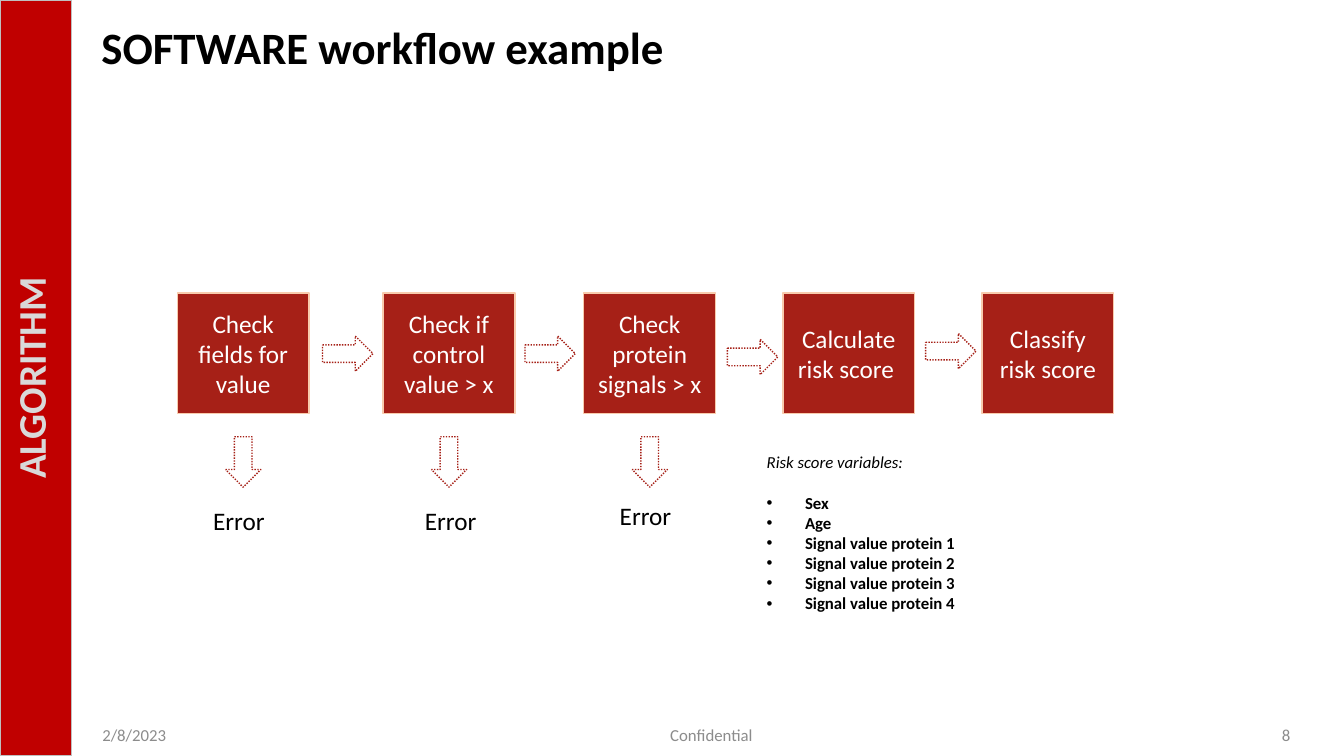
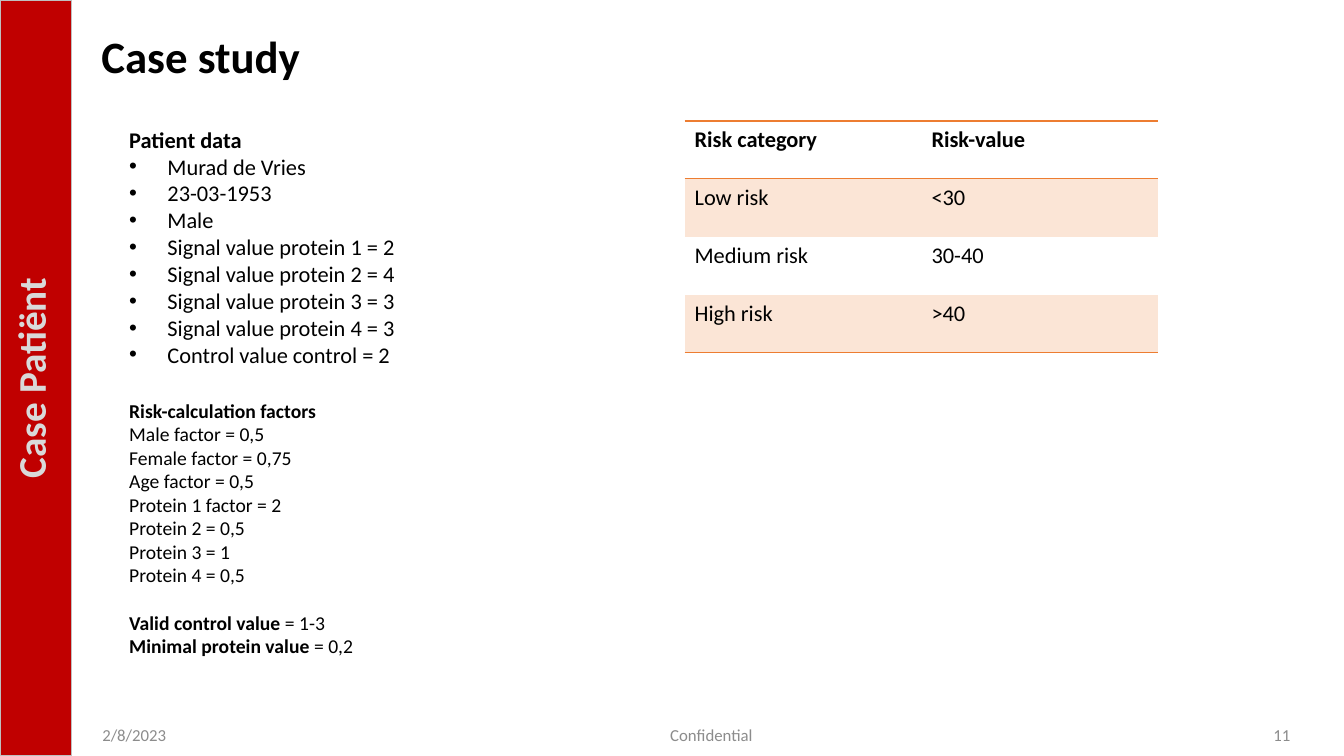
from dataclasses import dataclass

from pptx import Presentation
from pptx.dml.color import RGBColor
from pptx.enum.dml import MSO_LINE
from pptx.enum.shapes import MSO_SHAPE as Preset
from pptx.enum.text import MSO_ANCHOR as Anchor, PP_ALIGN as Align
from pptx.oxml import parse_xml
from pptx.oxml.ns import nsdecls
from pptx.util import Inches, Pt

COLUMNS, ROWS, CELLS_PER_INCH = 160, 90, 12
NO_STYLE = "{2D5ABB26-0587-4C30-8999-92F81FD0307C}"


@dataclass(frozen=True)
class Theme:
    font: str = "Calibri"
    ink: str = "000000"
    white: str = "FFFFFF"
    band: str = "C00000"
    band_edge: str = "BFBFBF"
    band_text: str = "D9D9D9"
    footer: str = "8C8C8C"
    step: str = "A62017"
    step_edge: str = "F8CBAD"
    rule: str = "ED7D31"
    stripe: str = "FBE5D6"
    title_size: int = 32
    band_size: int = 28
    step_size: int = 18
    body_size: int = 16
    detail_size: int = 14
    small_size: int = 12


THEME = Theme()


def grid(cells):
    return Inches(cells / CELLS_PER_INCH)


@dataclass(frozen=True)
class Box:
    left: float
    top: float
    width: float
    height: float

    def region(self, left, top, width, height):
        return Box(self.left + left, self.top + top, width, height)

    @property
    def lengths(self):
        return [grid(n) for n in (self.left, self.top, self.width, self.height)]


PAGE = Box(0, 0, COLUMNS, ROWS)


def add_bullet(paragraph):
    properties = paragraph._p.get_or_add_pPr()
    hang = Inches(0.38)
    properties.set("marL", str(hang))
    properties.set("indent", str(-hang))
    for tag in ('buFont {} typeface="Arial"', 'buChar {} char="•"'):
        properties.append(parse_xml("<a:" + tag.format(nsdecls("a")) + "/>"))


def write(frame, *lines, size=THEME.body_size, color=THEME.ink, bold=False,
          italic=False, align=Align.LEFT, bullet=False, before=0, spacing=None):
    for index, line in enumerate(lines):
        paragraph = frame.paragraphs[-1]
        if paragraph.runs:
            paragraph = frame.add_paragraph()
        if bullet:
            add_bullet(paragraph)
        paragraph.alignment = align
        if before and index == 0:
            paragraph.space_before = Pt(before)
        if spacing:
            paragraph.line_spacing = spacing
        for words, heavy in [(line, bold)] if isinstance(line, str) else line:
            run = paragraph.add_run()
            run.text = words
            font = run.font
            font.name, font.size = THEME.font, Pt(size)
            font.bold, font.italic = heavy, italic
            font.color.rgb = RGBColor.from_string(color)


def text_area(slide, box, anchor=Anchor.TOP):
    frame = slide.shapes.add_textbox(*box.lengths).text_frame
    frame.word_wrap = True
    frame.vertical_anchor = anchor
    return frame


def add_preset(slide, preset, box, edge, fill=None, dash=None):
    shape = slide.shapes.add_shape(preset, *box.lengths)
    shape.shadow.inherit = False
    if fill:
        shape.fill.solid()
        shape.fill.fore_color.rgb = RGBColor.from_string(fill)
    else:
        shape.fill.background()
    shape.line.color.rgb = RGBColor.from_string(edge)
    shape.line.width = Pt(1)
    if dash:
        shape.line.dash_style = dash
    return shape


def add_side_band(slide, box, section):
    add_preset(slide, Preset.RECTANGLE, box, THEME.band_edge, THEME.band)
    label = text_area(slide, box.region(0.2, 0, 8, box.height))
    label._txBody.bodyPr.set("vert", "vert270")
    write(label, section, size=THEME.band_size, color=THEME.band_text,
          bold=True, align=Align.CENTER)


def add_footer(slide, box, number):
    for left, width, words, align in (
        (0, 39.6, "2/8/2023", Align.LEFT),
        (46.7, 54, "Confidential", Align.CENTER),
        (107.8, 36, number, Align.RIGHT),
    ):
        note = text_area(slide, box.region(left, 0, width, box.height), Anchor.MIDDLE)
        write(note, words, size=THEME.small_size, color=THEME.footer, align=align)


def start_slide(deck, section, title, title_top, number):
    slide = deck.slides.add_slide(deck.slide_layouts[6])
    add_side_band(slide, PAGE.region(0, 0, 8.5, ROWS), section)
    write(text_area(slide, PAGE.region(10.9, title_top, 143.8, 10.8)), title,
          size=THEME.title_size, bold=True, spacing=0.9)
    add_footer(slide, PAGE.region(11, 85.1, 143.8, 4.8), number)
    return slide


def add_workflow(slide, box):
    step_width, step_height = 15.7, 14.3
    arrow_length, arrow_breadth = 6, 4.2
    steps = (
        (0, "Check fields for value"),
        (24.5, "Check if control value > x"),
        (48.4, "Check protein signals > x"),
        (72.1, "Calculate risk score "),
        (95.8, "Classify risk score"),
    )
    for left, words in steps:
        step = add_preset(slide, Preset.RECTANGLE,
                          box.region(left, 0, step_width, step_height),
                          THEME.step_edge, THEME.step)
        step.text_frame.word_wrap = True
        step.text_frame.vertical_anchor = Anchor.MIDDLE
        write(step.text_frame, words, size=THEME.step_size, color=THEME.white,
              align=Align.CENTER)
    for left, top in ((17.3, 5.1), (41.4, 5.1), (65.5, 5.5), (89.1, 4.8)):
        add_preset(slide, Preset.RIGHT_ARROW,
                   box.region(left, top, arrow_length, arrow_breadth),
                   THEME.step, dash=MSO_LINE.ROUND_DOT)
    inset = (step_width - arrow_breadth) / 2
    for (left, _), error_left, error_top in zip(
            steps, (3.1, 28.3, 51.5), (24.7, 24.7, 24.1)):
        add_preset(slide, Preset.DOWN_ARROW,
                   box.region(left + inset, 17.1, arrow_breadth, arrow_length),
                   THEME.step, dash=MSO_LINE.ROUND_DOT)
        write(text_area(slide, box.region(error_left, error_top, 9.4, 4.8)),
              "Error", size=THEME.step_size)


def add_risk_variables(slide, box):
    variables = text_area(slide, box)
    write(variables, "Risk score variables:", size=THEME.small_size, italic=True)
    write(variables, "Sex", "Age", "Signal value protein 1",
          "Signal value protein 2", "Signal value protein 3",
          "Signal value protein 4 ",
          size=THEME.small_size, bold=True, bullet=True, before=14.6)


def add_patient_data(slide, box):
    patient = text_area(slide, box)
    write(patient, "Patient data", bold=True)
    write(patient, "Murad de Vries", "23-03-1953", "Male",
          "Signal value protein 1 = 2", "Signal value protein 2 = 4",
          "Signal value protein 3 = 3", "Signal value protein 4 = 3",
          "Control value control = 2", bullet=True)
    write(patient, "Risk-calculation factors", size=THEME.detail_size,
          bold=True, before=22)
    write(patient, "Male factor = 0,5", "Female factor = 0,75",
          "Age factor = 0,5", "Protein 1 factor = 2", "Protein 2 = 0,5",
          "Protein 3 = 1", "Protein 4 = 0,5", size=THEME.detail_size)
    write(patient, [("Valid control value ", True), ("= 1-3", False)],
          [("Minimal protein value", True), (" = 0,2", False)],
          size=THEME.detail_size, before=17)


def add_cell_rule(cell, side):
    cell._tc.get_or_add_tcPr().append(parse_xml(
        f'<a:{side} {nsdecls("a")} w="{Pt(1)}"><a:solidFill>'
        f'<a:srgbClr val="{THEME.rule}"/></a:solidFill></a:{side}>'))


def add_risk_table(slide, box):
    rows = (
        ("Risk category", "Risk-value"),
        ("Low risk", "<30"),
        ("Medium risk", "30-40"),
        ("High risk", ">40"),
    )
    holder = slide.shapes.add_table(len(rows), len(rows[0]), *box.lengths)
    holder.element.xpath(".//a:tableStyleId")[0].text = NO_STYLE
    table = holder.table
    table.horz_banding = False
    for row_index, row in enumerate(rows):
        is_header = row_index == 0
        for column_index, words in enumerate(row):
            cell = table.cell(row_index, column_index)
            if is_header:
                add_cell_rule(cell, "lnT")
            if is_header or row_index == len(rows) - 1:
                add_cell_rule(cell, "lnB")
            if row_index % 2:
                cell.fill.solid()
                cell.fill.fore_color.rgb = RGBColor.from_string(THEME.stripe)
            else:
                cell.fill.background()
            write(cell.text_frame, words, bold=is_header)


def build_workflow_slide(deck):
    slide = start_slide(deck, "ALGORITHM", "SOFTWARE workflow example", 2.5, "8")
    add_workflow(slide, PAGE.region(21.1, 34.9, 111.5, 29.5))
    add_risk_variables(slide, PAGE.region(90.1, 53.2, 28.8, 20.6))


def build_case_slide(deck):
    slide = start_slide(deck, "Case Patiënt", "Case study", 3.6, "11")
    add_patient_data(slide, PAGE.region(14.2, 14.4, 66, 72.2))
    add_risk_table(slide, PAGE.region(81.5, 14.4, 56.4, 27.6))


def main():
    deck = Presentation()
    deck.slide_width, deck.slide_height = grid(COLUMNS), grid(ROWS)
    build_workflow_slide(deck)
    build_case_slide(deck)
    deck.save("out.pptx")


if __name__ == "__main__":
    main()
